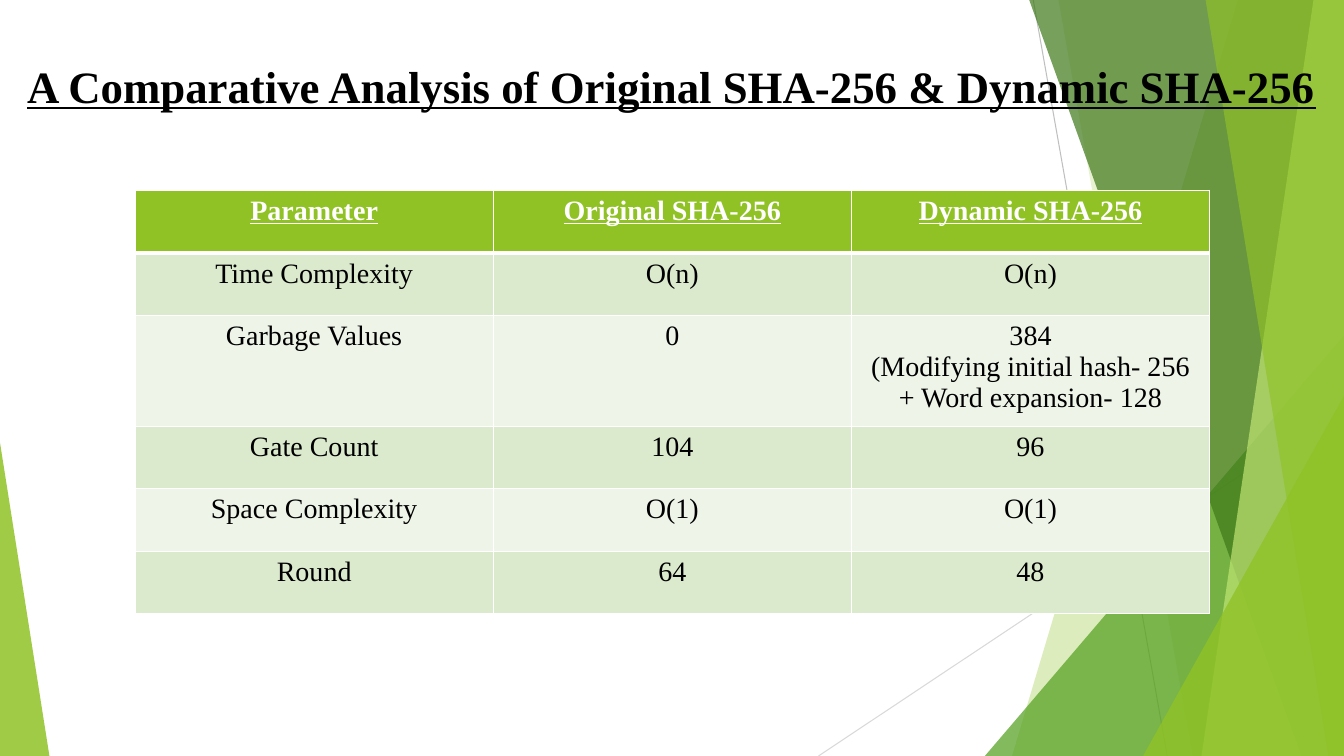
from dataclasses import dataclass

from lxml import etree
from pptx import Presentation
from pptx.dml.color import RGBColor
from pptx.enum.shapes import MSO_CONNECTOR, MSO_SHAPE
from pptx.enum.text import PP_ALIGN
from pptx.oxml.ns import qn
from pptx.util import Inches, Pt

STRAIGHT = MSO_CONNECTOR.STRAIGHT
TRIANGLE = MSO_SHAPE.ISOSCELES_TRIANGLE
CENTER = PP_ALIGN.CENTER


@dataclass(frozen=True)
class Theme:
    font: str = "Times New Roman"
    title_size: int = 32
    table_size: int = 20
    ink: str = "000000"
    paper: str = "FFFFFF"
    green: str = "90C226"
    leaf: str = "54A021"
    forest: str = "3F7819"
    lime: str = "C0E474"
    bands: tuple = ("DBE9CD", "EEF4E8")
    rule: str = "BFBFBF"
    pale_rule: str = "D9D9D9"


@dataclass(frozen=True)
class Box:
    left: int
    top: int
    width: int
    height: int

    def x(self, percent):
        return round(self.left + self.width * percent / 100)

    def y(self, percent):
        return round(self.top + self.height * percent / 100)

    def region(self, left, top, right, bottom):
        x, y = self.x(left), self.y(top)
        return Box(x, y, self.x(right) - x, self.y(bottom) - y)

    def place(self):
        return self.left, self.top, self.width, self.height


THEME = Theme()
TITLE = "A Comparative Analysis of Original SHA-256 & Dynamic SHA-256"
ROWS = [
    ("Parameter", "Original SHA-256", "Dynamic SHA-256"),
    ("Time Complexity", "O(n)", "O(n)"),
    ("Garbage Values", "0",
     "384\n(Modifying initial hash- 256 + Word expansion- 128"),
    ("Gate Count", "104", "96"),
    ("Space Complexity", "O(1)", "O(1)"),
    ("Round", "64", "48"),
]
ROW_SHARES = (0.62, 0.62, 1.1, 0.62, 0.62, 0.62)


def paint(shape, color, opacity):
    shape.shadow.inherit = False
    shape.line.fill.background()
    shape.fill.solid()
    shape.fill.fore_color.rgb = RGBColor.from_string(color)
    tint = shape._element.spPr.find(qn("a:solidFill"))[0]
    etree.SubElement(tint, qn("a:alpha"), val=str(opacity * 1000))


def add_rule(page, box, start, end, color):
    rule = page.shapes.add_connector(
        STRAIGHT, box.x(start[0]), box.y(start[1]), box.x(end[0]), box.y(end[1]))
    rule.line.color.rgb = RGBColor.from_string(color)
    rule.line.width = Pt(0.75)
    etree.SubElement(rule._element.spPr, qn("a:effectLst"))


def add_blade(page, box, top_x, bottom_x, color, opacity):
    builder = page.shapes.build_freeform(box.x(top_x), box.y(0))
    corners = [(100, 0), (100, 100), (bottom_x, 100)]
    builder.add_line_segments([(box.x(x), box.y(y)) for x, y in corners])
    paint(builder.convert_to_shape(), color, opacity)


def add_wedge(page, box, peak, color, opacity):
    wedge = page.shapes.add_shape(TRIANGLE, *box.place())
    wedge.adjustments[0] = peak
    paint(wedge, color, opacity)


def add_backdrop(page, box):
    add_rule(page, box, (76.88, 0), (86.85, 100), THEME.rule)
    add_rule(page, box, (100, 53.73), (60.9, 100), THEME.pale_rule)
    add_blade(page, box, 92.1, 75.3, THEME.green, 30)
    add_blade(page, box, 78.75, 88.73, THEME.green, 20)
    add_wedge(page, box.region(73.28, 44.4, 100, 100), 1, THEME.leaf, 72)
    add_blade(page, box, 76.58, 96.83, THEME.forest, 70)
    add_blade(page, box, 97.73, 89.4, THEME.lime, 70)
    add_blade(page, box, 89.7, 98.85, THEME.green, 65)
    add_wedge(page, box.region(85.05, 52.4, 100, 100), 1, THEME.green, 80)
    add_wedge(page, box.region(0, 58.53, 3.68, 100), 0, THEME.green, 85)


def style_text(frame, size, color, strong):
    for para in frame.paragraphs:
        para.alignment = CENTER
        for span in para.runs:
            span.font.name = THEME.font
            span.font.size = Pt(size)
            span.font.bold = strong
            span.font.underline = strong
            span.font.color.rgb = RGBColor.from_string(color)


def add_title(page, box):
    frame = page.shapes.add_textbox(*box.place()).text_frame
    frame.word_wrap = True
    frame.margin_left = frame.margin_right = Inches(0.05)
    frame.text = TITLE
    style_text(frame, THEME.title_size, THEME.ink, True)


def set_borders(cell, widths):
    properties = cell._tc.get_or_add_tcPr()
    for position, (side, width) in enumerate(widths.items()):
        line = etree.Element(qn(f"a:ln{side}"), w=str(Pt(width)))
        fill = etree.SubElement(line, qn("a:solidFill"))
        etree.SubElement(fill, qn("a:srgbClr"), val=THEME.paper)
        properties.insert(position, line)


def add_comparison(page, box):
    table = page.shapes.add_table(len(ROWS), len(ROWS[0]), *box.place()).table
    for column in table.columns:
        column.width = box.width // len(ROWS[0])
    for row, share in zip(table.rows, ROW_SHARES):
        row.height = round(box.height * share / sum(ROW_SHARES))
    for row_index, texts in enumerate(ROWS):
        header = row_index == 0
        fill = THEME.green if header else THEME.bands[(row_index - 1) % 2]
        ink = THEME.paper if header else THEME.ink
        for column_index, text in enumerate(texts):
            cell = table.cell(row_index, column_index)
            cell.text_frame.text = text
            style_text(cell.text_frame, THEME.table_size, ink, header)
            cell.fill.solid()
            cell.fill.fore_color.rgb = RGBColor.from_string(fill)
            top = 3 if row_index == 1 else 1
            set_borders(cell, {"L": 1, "R": 1, "T": top, "B": 3 if header else 1})


def main():
    deck = Presentation()
    deck.slide_width, deck.slide_height = Inches(13.33), Inches(7.5)
    page = deck.slides.add_slide(deck.slide_layouts[6])
    canvas = Box(0, 0, deck.slide_width, deck.slide_height)
    add_backdrop(page, canvas)
    add_title(page, canvas.region(0.9, 7.07, 99.03, 15.6))
    add_comparison(page, canvas.region(10.05, 25.2, 90, 81.2))
    deck.save("out.pptx")


if __name__ == "__main__":
    main()
